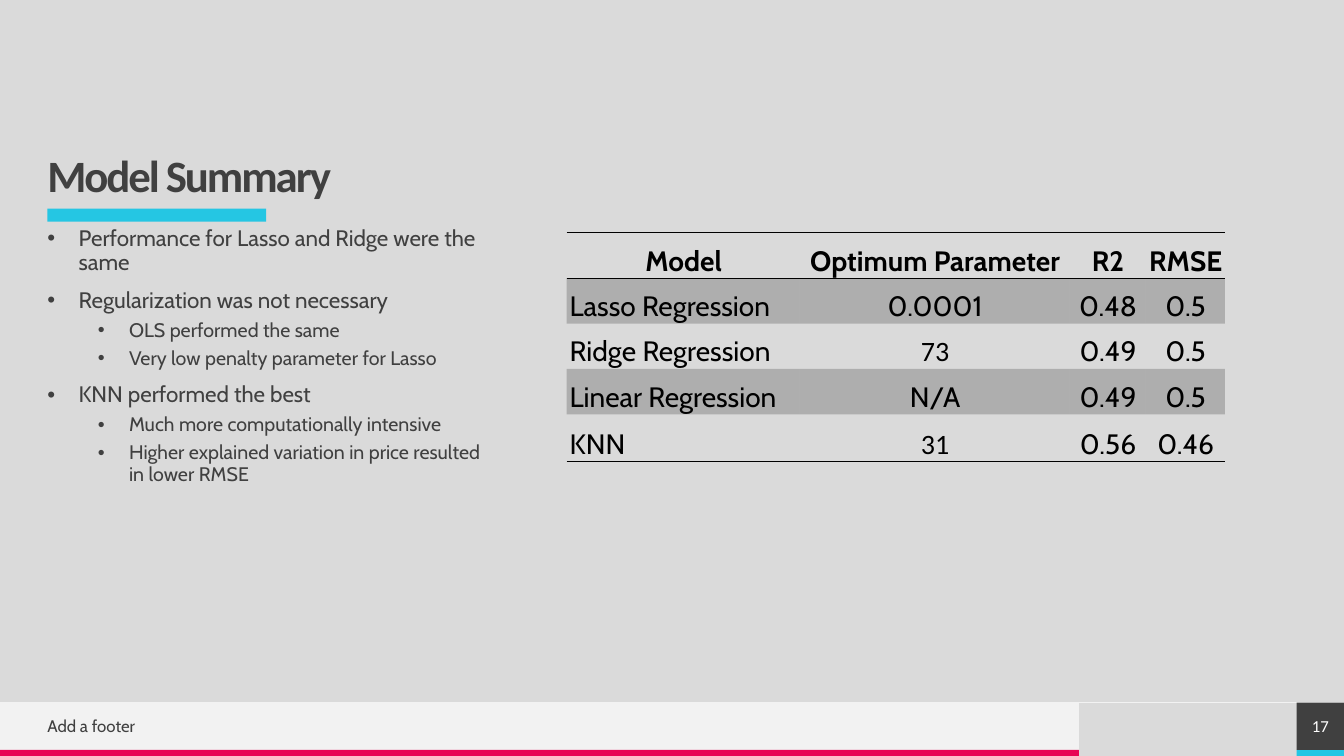
from dataclasses import dataclass

from lxml import etree
from pptx import Presentation
from pptx.dml.color import RGBColor
from pptx.enum.shapes import MSO_CONNECTOR, MSO_SHAPE
from pptx.enum.text import MSO_ANCHOR, PP_ALIGN
from pptx.oxml.ns import qn
from pptx.util import Emu, Inches, Pt

RECTANGLE = MSO_SHAPE.RECTANGLE
STRAIGHT = MSO_CONNECTOR.STRAIGHT
TOP, MIDDLE, BOTTOM = MSO_ANCHOR.TOP, MSO_ANCHOR.MIDDLE, MSO_ANCHOR.BOTTOM
LEFT, CENTER = PP_ALIGN.LEFT, PP_ALIGN.CENTER

COLORS = {
    "background": "DADADA",
    "footer": "F2F2F2",
    "pink": "E80554",
    "cyan": "25C6E3",
    "dark": "404040",
    "white": "FFFFFF",
    "black": "000000",
}
SLIDE_WIDTH, SLIDE_HEIGHT = 13.33, 7.5
MARGIN = 0.47
FOOTER_TOP, STRIPE_TOP = 6.97, 7.44
NO_GRID_STYLE = "{2D5ABB26-0587-4C30-8999-92F81FD0307C}"


@dataclass
class Box:
    left: float
    top: float
    width: float
    height: float

    def lengths(self) -> list[Emu]:
        return [Inches(n) for n in (self.left, self.top, self.width, self.height)]


@dataclass
class Band:
    box: Box
    color: str


@dataclass
class Style:
    size: float
    font: str = "Cabin"
    color: str = "dark"
    bold: bool = False
    align: PP_ALIGN = LEFT


@dataclass
class Point:
    text: str
    level: int = 0


BANDS = [
    Band(Box(0, FOOTER_TOP, 10.7, 0.47), "footer"),
    Band(Box(0, STRIPE_TOP, 10.7, 0.06), "pink"),
    Band(Box(12.86, STRIPE_TOP, 0.47, 0.06), "cyan"),
    Band(Box(MARGIN, 2.07, 2.17, 0.13), "cyan"),
]
PAGE_NUMBER = Band(Box(12.86, FOOTER_TOP, 0.47, 0.47), "dark")
POINTS = [
    Point("Performance for Lasso and Ridge were the same"),
    Point("Regularization was not necessary"),
    Point("OLS performed the same", 1),
    Point("Very low penalty parameter for Lasso", 1),
    Point("KNN performed the best"),
    Point("Much more computationally intensive", 1),
    Point("Higher explained variation in price resulted in lower RMSE", 1),
]
MODELS = [
    ("Model", "Optimum Parameter", "R2", "RMSE"),
    ("Lasso Regression", "0.0001", "0.48", "0.5"),
    ("Ridge Regression", "73", "0.49", "0.5"),
    ("Linear Regression", "N/A", "0.49", "0.5"),
    ("KNN", "31", "0.56", "0.46"),
]
COLUMN_WIDTHS = [2.31, 2.68, 0.75, 0.79]
ROW_HEIGHTS = [0.45, 0.45, 0.45, 0.45, 0.47]
CALIBRI_VALUES = {"73", "31"}
BORDERS = {0: ("a:lnT", "a:lnB"), len(MODELS) - 1: ("a:lnB",)}


def rgb(name: str) -> RGBColor:
    return RGBColor.from_string(COLORS[name])


def write(paragraph, text: str, style: Style):
    paragraph.alignment = style.align
    run = paragraph.add_run()
    run.text = text
    formats = {"size": Pt(style.size), "name": style.font, "bold": style.bold}
    for attribute, value in formats.items():
        setattr(run.font, attribute, value)
    run.font.color.rgb = rgb(style.color)
    return run


def prepare_frame(frame, anchor: MSO_ANCHOR):
    formats = {
        "word_wrap": True, "vertical_anchor": anchor,
        "margin_left": 0, "margin_top": 0, "margin_right": 0, "margin_bottom": 0,
    }
    for attribute, value in formats.items():
        setattr(frame, attribute, value)
    return frame


def add_text_frame(slide, box: Box, anchor: MSO_ANCHOR):
    return prepare_frame(slide.shapes.add_textbox(*box.lengths()).text_frame, anchor)


def add_band(slide, band: Band):
    shape = slide.shapes.add_shape(RECTANGLE, *band.box.lengths())
    shape.shadow.inherit = False
    shape.fill.solid()
    shape.fill.fore_color.rgb = rgb(band.color)
    shape.line.fill.background()
    return shape


def add_footer_rule(slide) -> None:
    y = Inches(FOOTER_TOP)
    rule = slide.shapes.add_connector(STRAIGHT, Inches(SLIDE_WIDTH), y, 0, y)
    rule.line.color.rgb = rgb("footer")
    rule.line.width = Pt(0.5)
    etree.SubElement(rule._element.spPr, qn("a:effectLst"))


def add_points(slide) -> None:
    frame = add_text_frame(slide, Box(MARGIN, 2.25, 4.3, 4.17), TOP)
    for index, point in enumerate(POINTS):
        paragraph = frame.paragraphs[0] if index == 0 else frame.add_paragraph()
        write(paragraph, point.text, Style(16 - 2 * point.level))
        formats = {
            "level": point.level,
            "line_spacing": 0.9,
            "space_before": Pt(10 - 5 * point.level),
        }
        for attribute, value in formats.items():
            setattr(paragraph, attribute, value)
        properties = paragraph._p.get_or_add_pPr()
        properties.set("marL", str(Inches(0.31 + 0.5 * point.level)))
        properties.set("indent", str(Inches(-0.31)))
        etree.SubElement(properties, qn("a:buFont"), typeface="Arial")
        etree.SubElement(properties, qn("a:buChar"), char="•")


def shade(cell) -> None:
    cell.fill.solid()
    cell.fill.fore_color.rgb = rgb("black")
    color = cell._tc.tcPr.find(".//" + qn("a:srgbClr"))
    etree.SubElement(color, qn("a:alpha"), val="20000")


def add_borders(cell, sides: tuple[str, ...]) -> None:
    for position, side in enumerate(sides):
        border = etree.Element(qn(side), w=str(Pt(1)))
        fill = etree.SubElement(border, qn("a:solidFill"))
        etree.SubElement(fill, qn("a:srgbClr"), val=COLORS["black"])
        cell._tc.tcPr.insert(position, border)


def add_models(slide) -> None:
    box = Box(5.62, 2.31, sum(COLUMN_WIDTHS), sum(ROW_HEIGHTS))
    frame = slide.shapes.add_table(len(MODELS), len(COLUMN_WIDTHS), *box.lengths())
    table = frame.table
    table.horz_banding = table.first_row = False
    table._tbl.tblPr.find(qn("a:tableStyleId")).text = NO_GRID_STYLE
    for column, width in zip(table.columns, COLUMN_WIDTHS):
        column.width = Inches(width)
    for row, height in zip(table.rows, ROW_HEIGHTS):
        row.height = Inches(height)
    cell_formats = {
        "vertical_anchor": BOTTOM, "margin_left": Inches(0.03),
        "margin_top": Inches(0.03), "margin_right": Inches(0.02), "margin_bottom": 0,
    }
    for r, values in enumerate(MODELS):
        for c, value in enumerate(values):
            cell = table.cell(r, c)
            for attribute, setting in cell_formats.items():
                setattr(cell, attribute, setting)
            font = "Calibri" if value in CALIBRI_VALUES else "Cabin"
            align = LEFT if r and c == 0 else CENTER
            write(cell.text_frame.paragraphs[0], value,
                  Style(20, font, "black", r == 0, align))
            if r % 2:
                shade(cell)
            else:
                cell.fill.background()
            add_borders(cell, BORDERS.get(r, ()))


def main() -> None:
    deck = Presentation()
    deck.slide_width, deck.slide_height = Inches(SLIDE_WIDTH), Inches(SLIDE_HEIGHT)
    slide = deck.slides.add_slide(deck.slide_layouts[6])
    slide.background.fill.solid()
    slide.background.fill.fore_color.rgb = rgb("background")

    for band in BANDS:
        add_band(slide, band)
    add_footer_rule(slide)

    heading = add_text_frame(slide, Box(MARGIN, 0.47, 4.3, 1.54), BOTTOM).paragraphs[0]
    heading.line_spacing = 0.9
    title = write(heading, "Model Summary", Style(32, "Calibri", bold=True))
    title.font._element.set("spc", "-150")

    footer = add_text_frame(slide, Box(MARGIN, 7.04, 6.19, 0.32), MIDDLE)
    write(footer.paragraphs[0], "Add a footer", Style(12))
    number = prepare_frame(add_band(slide, PAGE_NUMBER).text_frame, MIDDLE)
    write(number.paragraphs[0], "17", Style(12, "Calibri", "white", align=CENTER))

    add_points(slide)
    add_models(slide)
    deck.save("out.pptx")


if __name__ == "__main__":
    main()
